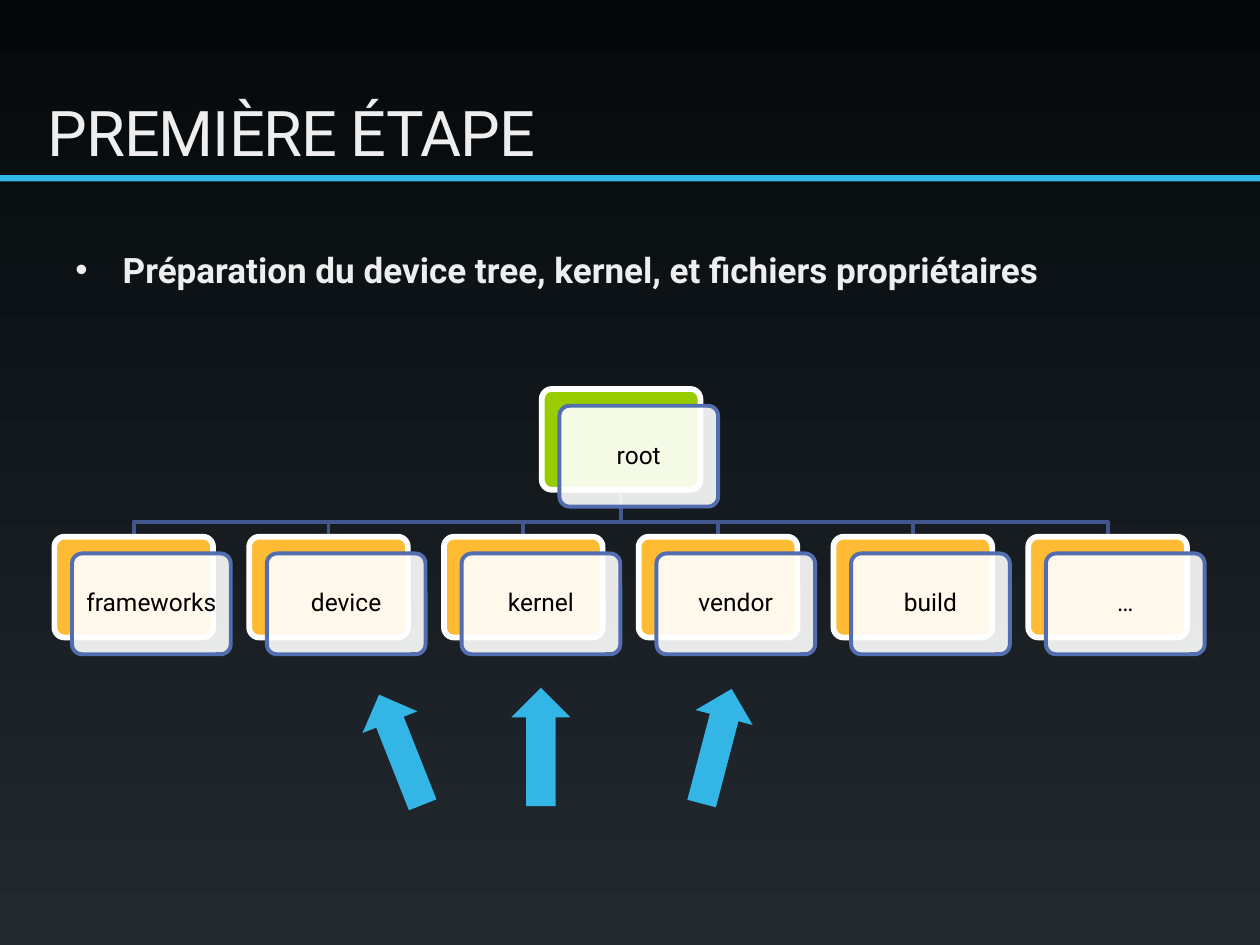
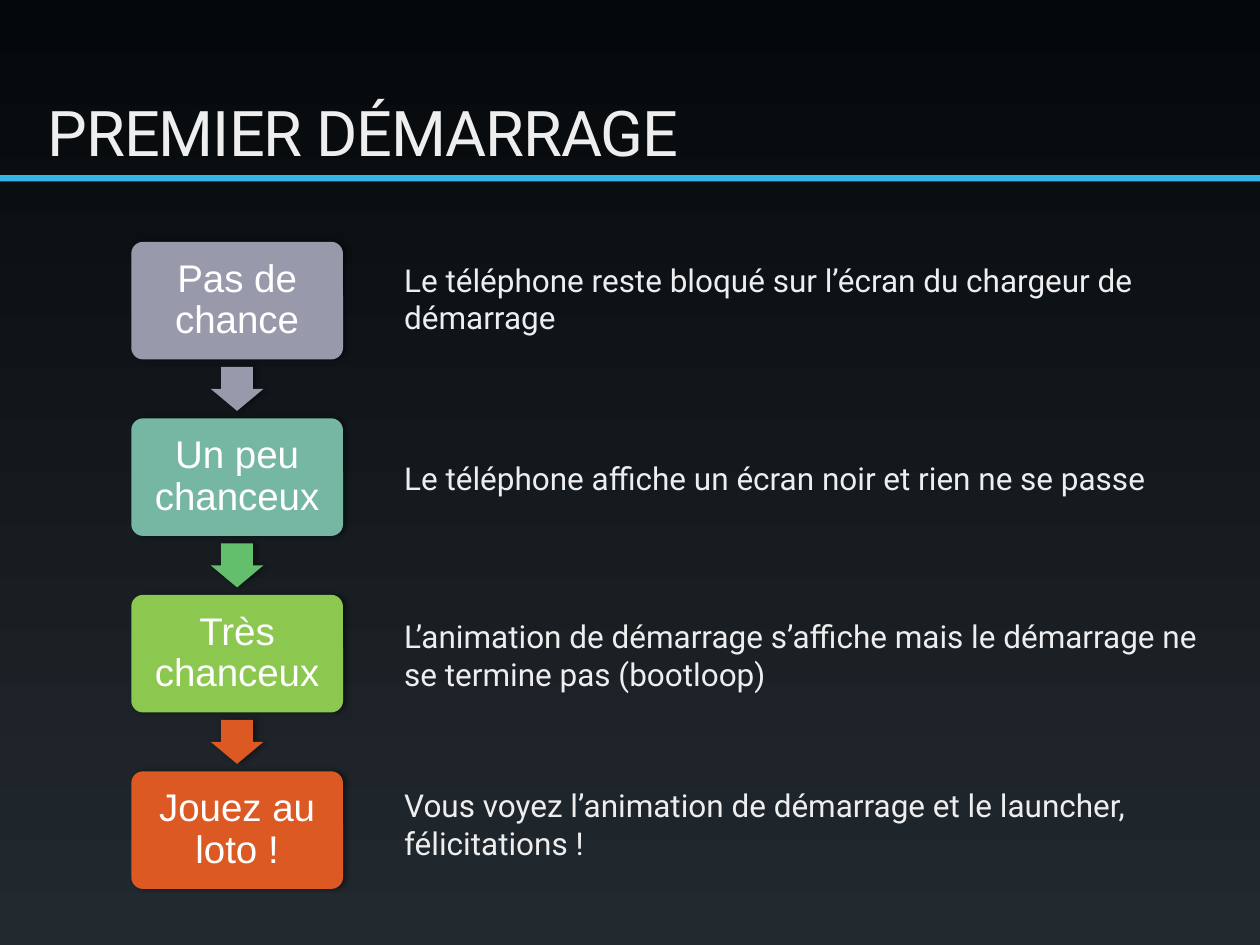
from lxml.etree import SubElement
from pptx import Presentation
from pptx.dml.color import RGBColor
from pptx.enum.shapes import MSO_SHAPE
from pptx.enum.text import MSO_ANCHOR, PP_ALIGN
from pptx.oxml.ns import qn
from pptx.util import Pt

WHITE, LIGHT, CYAN = "FFFFFF", "EEEEEE", "33B5E5"
AMBER, GREEN, EDGE, LINK = "FFBB33", "99CC00", "526DB0", "42578D"
NIGHT, SLATE = "04080B", "232A2F"


def tint(code):
    return RGBColor.from_string(code)


def node(parent, tag, **attrs):
    """Append an XML child such as a:alpha with the given attributes."""
    child = SubElement(parent, qn(tag))
    for key, value in attrs.items():
        child.set(key, str(value))
    return child


class Deck:
    """Holds the shared style and the slide being drawn."""

    def __init__(self):
        self.prs = Presentation()
        self.prs.slide_width, self.prs.slide_height = Pt(720), Pt(540)
        self.slide = None

    def start(self, title):
        self.slide = self.prs.slides.add_slide(self.prs.slide_layouts[6])
        fill = self.slide.background.fill
        fill.gradient()
        fill.gradient_angle = 270
        for stop, code in zip(fill.gradient_stops, (NIGHT, SLATE)):
            stop.color.rgb = tint(code)
        self.shape(MSO_SHAPE.RECTANGLE, (-0.5, 100, 721, 3.6), CYAN)
        self.text((20.2, 9.4, 686, 90.7), title, size=36,
                  anchor=MSO_ANCHOR.BOTTOM, kern=-60)

    def shape(self, kind, box, fill, line=None, width=0, turn=0, adj=(),
              alpha=None, shadow=False):
        item = self.slide.shapes.add_shape(kind, *map(Pt, box))
        item.shadow.inherit = False
        item.rotation = turn
        for index, value in enumerate(adj):
            item.adjustments[index] = value
        item.fill.solid()
        item.fill.fore_color.rgb = tint(fill)
        props = item._element.spPr
        if alpha:
            node(props.find(".//" + qn("a:srgbClr")), "a:alpha", val=alpha * 1000)
        if line:
            item.line.color.rgb = tint(line)
            item.line.width = Pt(width)
        else:
            item.line.fill.background()
        if shadow:
            cast = node(props.find(qn("a:effectLst")), "a:outerShdw",
                        blurRad=Pt(3.1), dist=Pt(1.8), dir=0, rotWithShape=0)
            node(node(cast, "a:srgbClr", val="000000"), "a:alpha", val=40000)
        return item

    def put(self, item, words, size, color=LIGHT, face="Roboto", bold=False,
            align=PP_ALIGN.LEFT, anchor=MSO_ANCHOR.TOP, inset=None,
            space=None, kern=None, bullet=None):
        """Set the words of a shape or text box and their style."""
        frame = item.text_frame
        frame.word_wrap = True
        frame.vertical_anchor = anchor
        if inset is not None:
            for side in ("left", "right", "top", "bottom"):
                setattr(frame, f"margin_{side}", Pt(inset))
        para = frame.paragraphs[0]
        if bullet:
            props = para._p.get_or_add_pPr()
            props.set("marL", str(Pt(27)))
            props.set("indent", str(Pt(-27)))
            node(props, "a:buFont", typeface="Arial")
            node(props, "a:buChar", char=bullet)
        para.alignment = align
        para.line_spacing = space
        run = para.add_run()
        run.text = words
        style = {"name": face, "size": Pt(size), "bold": bold}
        for key, value in style.items():
            setattr(run.font, key, value)
        run.font.color.rgb = tint(color)
        if kern:
            run._r.get_or_add_rPr().set("spc", str(kern))

    def text(self, box, words, **style):
        item = self.slide.shapes.add_textbox(*map(Pt, box))
        self.put(item, words, **style)

    def label(self, item, words, **style):
        """Put centred text inside a shape."""
        self.put(item, words, align=PP_ALIGN.CENTER,
                 anchor=MSO_ANCHOR.MIDDLE, space=0.9, **style)

    def link(self, points):
        (x, y), *rest = [(Pt(a), Pt(b)) for a, b in points]
        route = self.slide.shapes.build_freeform(x, y)
        route.add_line_segments(rest, close=False)
        item = route.convert_to_shape()
        item.shadow.inherit = False
        item.fill.background()
        item.line.color.rgb = tint(LINK)
        item.line.width = Pt(2.25)

    def card(self, left, top, words, fill):
        """Draw a coloured back plate and a shifted pale plate with a name."""
        wide, high = 90.7, 57.6
        self.shape(MSO_SHAPE.ROUNDED_RECTANGLE, (left, top, wide, high), fill,
                   WHITE, 3.25, adj=[0.1])
        front = self.shape(MSO_SHAPE.ROUNDED_RECTANGLE,
                           (left + 10.1, top + 9.6, wide, high), WHITE,
                           EDGE, 2.25, adj=[0.1], alpha=90)
        self.label(front, words, size=14, color="000000", inset=4.2)


def tree(deck):
    deck.start("PREMIÈRE ÉTAPE")
    deck.text((36, 138.2, 641.5, 344),
              "Préparation du device tree, kernel, et fichiers propriétaires",
              size=20, bold=True, bullet="•")

    names = ["frameworks", "device", "kernel", "vendor", "build", "…"]
    root, top, half = 309.6, 306.7, 45.35
    lefts = [31.1 + 111.3 * i for i in range(len(names))]
    stem, bend = root + half, 298.1
    for left in reversed(lefts):
        mid = left + half
        deck.link([(stem, 280.1), (stem, bend), (mid, bend), (mid, top)])
    deck.card(root, 222.3, "root", GREEN)
    for left, name in zip(lefts, names):
        deck.card(left, top, name, AMBER)

    for left, high, turn in [(212.2, 394.6, 338.4), (292.2, 393, 0),
                             (392.6, 392.6, 14.7)]:
        deck.shape(MSO_SHAPE.UP_ARROW, (left, high, 33.8, 67.7), CYAN, turn=turn)


def boot(deck):
    deck.start("PREMIER DÉMARRAGE")
    steps = [
        ("Pas de chance", "989AAC", "989AAC", 145.4,
         "Le téléphone reste bloqué sur l’écran du chargeur de démarrage"),
        ("Un peu chanceux", "76B7A3", "63BF6C", 258.5,
         "Le téléphone affiche un écran noir et rien ne se passe"),
        ("Très chanceux", "8CC74F", "DC5924", 349.2,
         "L’animation de démarrage s’affiche mais le démarrage ne se termine"
         " pas (bootloop)"),
        ("Jouez au loto !", "DC5924", None, 445.7,
         "Vous voyez l’animation de démarrage et le launcher, félicitations !"),
    ]
    left, wide, high = 75, 121, 67.2
    for i, (name, fill, arrow, line, words) in enumerate(steps):
        top = 138.2 + 100.85 * i
        box = deck.shape(MSO_SHAPE.ROUNDED_RECTANGLE, (left, top, wide, high),
                         fill, adj=[0.1], shadow=True)
        deck.label(box, name, size=22, color=WHITE, face="Arial", inset=6.6)
        if arrow:
            deck.shape(MSO_SHAPE.DOWN_ARROW,
                       (left + wide / 2 - 15.1, top + high + 4.2, 30.2, 25.2),
                       arrow, adj=[0.6, 0.5], shadow=True)
        deck.text((223.9, line, 470.9, 29), words, size=18)


def main():
    deck = Deck()
    tree(deck)
    boot(deck)
    deck.prs.save("out.pptx")


if __name__ == "__main__":
    main()
